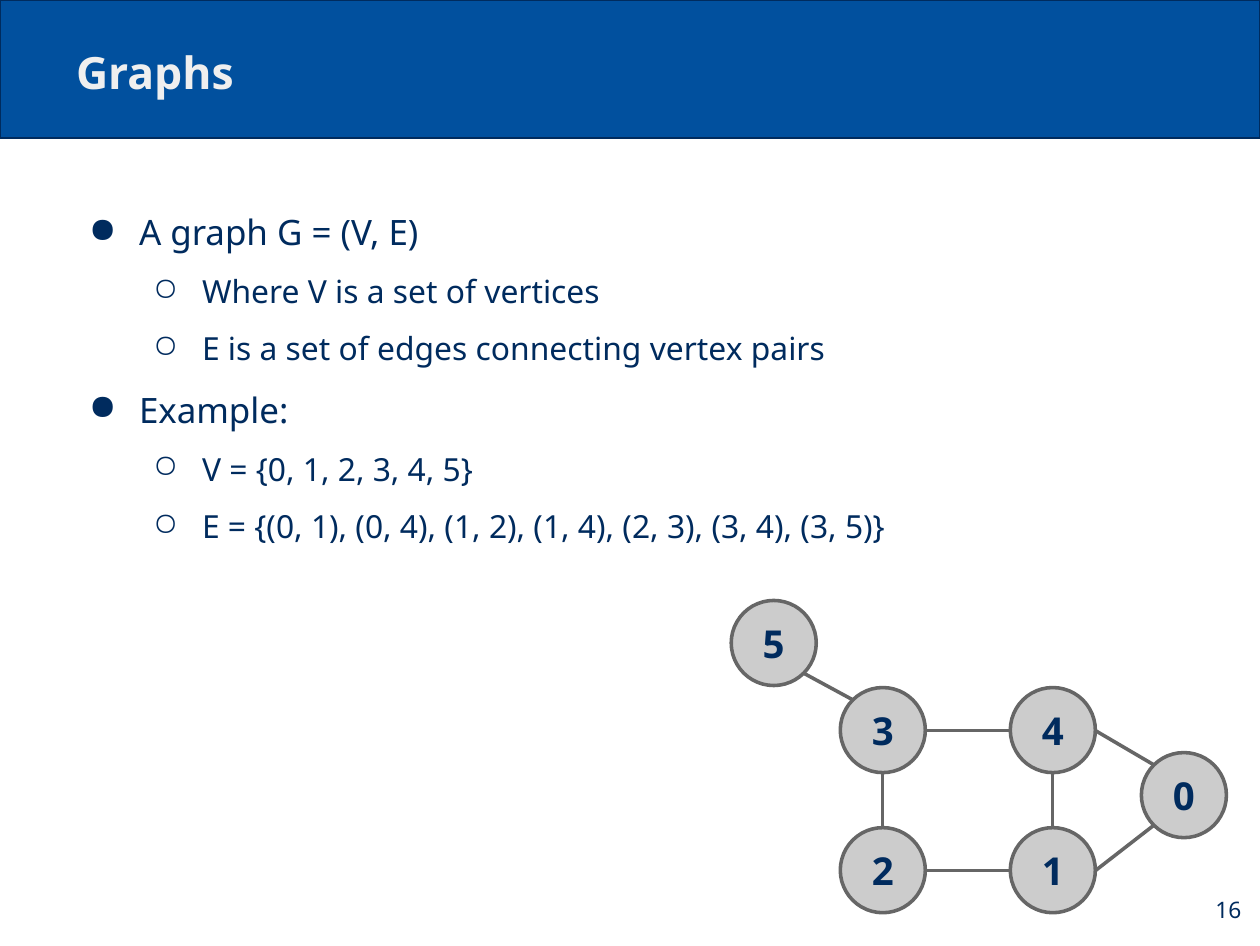
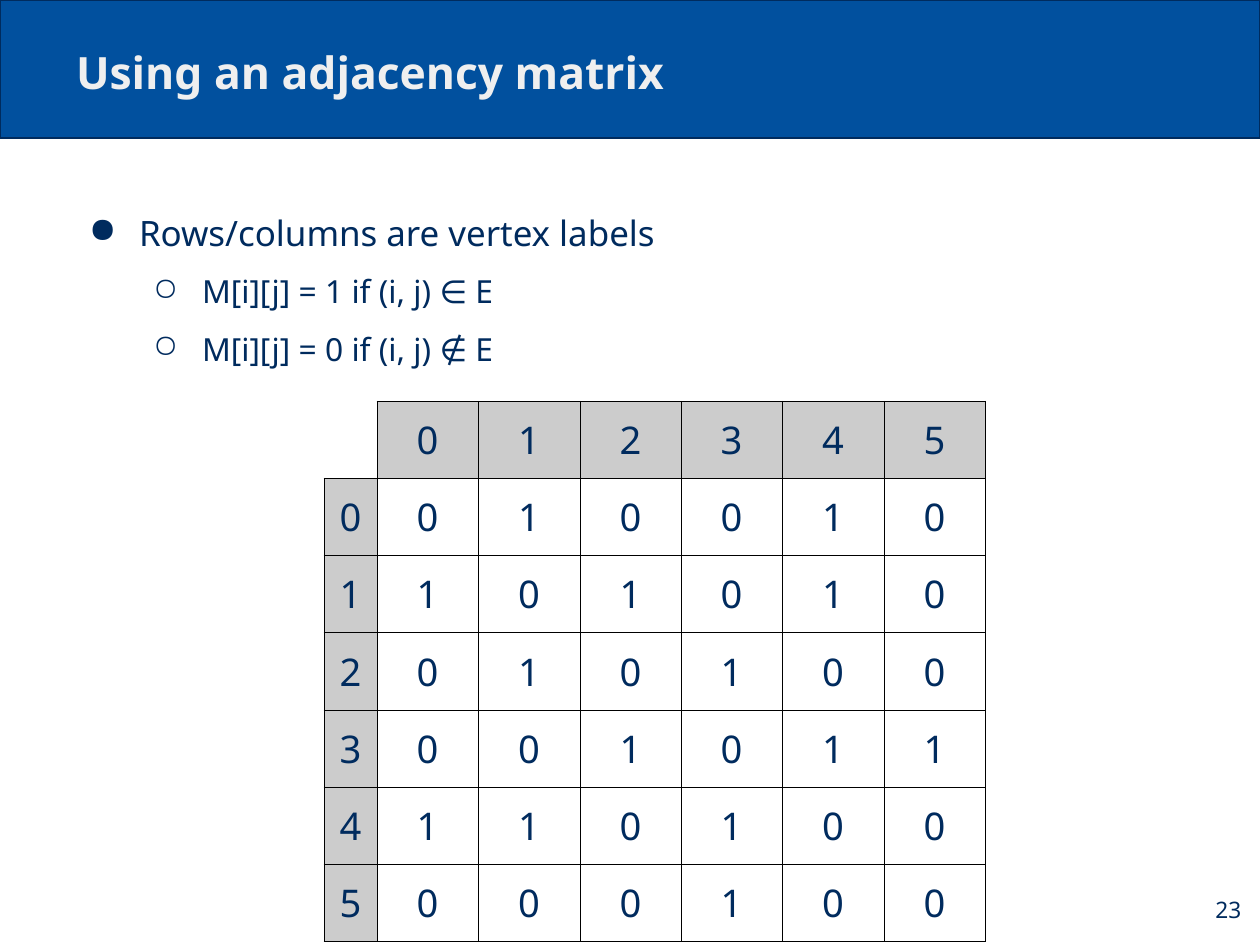
from math import cos, radians, sin

from lxml.etree import SubElement
from pptx import Presentation
from pptx.dml.color import RGBColor
from pptx.enum.shapes import MSO_CONNECTOR, MSO_SHAPE
from pptx.enum.text import MSO_ANCHOR, MSO_AUTO_SIZE, PP_ALIGN
from pptx.oxml.ns import qn
from pptx.util import Inches, Pt

# Shared style
SCALE = 8000  # EMU per px
PAGE_WIDTH, PAGE_HEIGHT = Inches(11.02), Inches(8.27)
FONT = "Noto Sans"
NAVY = RGBColor(0x00, 0x2B, 0x5E)
BLUE = RGBColor(0x01, 0x50, 0x9E)
PALE = RGBColor(0xEF, 0xEF, 0xEF)
SILVER = RGBColor(0xCC, 0xCC, 0xCC)
GRAY = RGBColor(0x66, 0x66, 0x66)
BLACK = RGBColor(0x00, 0x00, 0x00)
INSET = 13
CELL_INSET = 12
NODE_SIZE = 85

# Bullet levels: character, text size, left margin, hanging indent
BULLETS = [("●", 22, 63, 50), ("○", 20, 126, 49)]

# Connection sites of an ellipse, counted counter-clockwise from the top
TOP, TOP_LEFT, LEFT, BOTTOM_LEFT, BOTTOM, BOTTOM_RIGHT, RIGHT = range(7)

# The example graph
NODES = {0: (1141, 752), 1: (1010, 827), 4: (1010, 687),
         3: (840, 687), 2: (840, 827), 5: (731, 600)}
EDGES = [(0, TOP_LEFT, 4, RIGHT), (0, BOTTOM_LEFT, 1, RIGHT),
         (4, LEFT, 3, RIGHT), (1, LEFT, 2, RIGHT),
         (4, BOTTOM, 1, TOP), (3, BOTTOM, 2, TOP),
         (5, BOTTOM_RIGHT, 3, TOP_LEFT)]


def px(*lengths):
    return [length * SCALE for length in lengths]


def split(total, count):
    """Divide a length into whole px parts that add up to it."""
    stops = [round(index * total / count) for index in range(count + 1)]
    return [end - start for start, end in zip(stops, stops[1:])]


def write(para, text, size, color=NAVY, bold=False, align=PP_ALIGN.LEFT):
    para.alignment = align
    span = para.add_run()
    span.text = text
    span.font.name = FONT
    span.font.size = Pt(size)
    span.font.bold = bold
    span.font.color.rgb = color


def set_margins(target, inset):
    target.margin_left = target.margin_right = inset * SCALE
    target.margin_top = target.margin_bottom = inset * SCALE


def set_frame(frame, anchor=MSO_ANCHOR.TOP):
    frame.word_wrap = True
    frame.auto_size = MSO_AUTO_SIZE.NONE
    frame.vertical_anchor = anchor
    set_margins(frame, INSET)
    return frame


def site_point(node, site):
    left, top = NODES[node]
    radius = NODE_SIZE / 2
    angle = radians(90 + 45 * site)
    return (round(left + radius + radius * cos(angle)),
            round(top + radius - radius * sin(angle)))


class Deck:
    def __init__(self):
        self.deck = Presentation()
        self.deck.slide_width = PAGE_WIDTH
        self.deck.slide_height = PAGE_HEIGHT
        self.layout = self.deck.slide_layouts[5]
        self.page = None

    def add_page(self, title, number):
        first = self.page is None
        self.page = self.deck.slides.add_slide(self.layout)
        if first:
            self.add_band()
        box = self.page.shapes.title
        box.left, box.top, box.width, box.height = px(63, 28, 1134, 83)
        frame = set_frame(box.text_frame, MSO_ANCHOR.BOTTOM)
        write(frame.paragraphs[0], title, 28, color=PALE, bold=True)
        frame = self.add_box(1179, 873, 75, 72, MSO_ANCHOR.MIDDLE)
        write(frame.paragraphs[0], str(number), 14.3, align=PP_ALIGN.RIGHT)

    def add_band(self):
        """Put the title band on the layout, behind its placeholders."""
        band = self.add_shape(MSO_SHAPE.RECTANGLE, 0, 0, 1260, 138,
                              fill=BLUE, line=NAVY, weight=1.5)
        band.width = PAGE_WIDTH
        used = [shape.shape_id for shape in self.layout.shapes]
        band.element.find(".//" + qn("p:cNvPr")).set("id", str(max(used) + 1))
        self.layout.shapes.element.insert(2, band.element)

    def add_shape(self, kind, left, top, width, height, fill, line, weight):
        shape = self.page.shapes.add_shape(kind, *px(left, top, width, height))
        shape.shadow.inherit = False
        shape.fill.solid()
        shape.fill.fore_color.rgb = fill
        shape.line.color.rgb = line
        shape.line.width = Pt(weight)
        return shape

    def add_box(self, left, top, width, height, anchor=MSO_ANCHOR.TOP):
        box = self.page.shapes.add_textbox(*px(left, top, width, height))
        return set_frame(box.text_frame, anchor)

    def add_bullets(self, height, items):
        frame = self.add_box(63, 177, 1134, height)
        for index, (level, text) in enumerate(items):
            para = frame.add_paragraph() if index else frame.paragraphs[0]
            mark, size, margin, hanging = BULLETS[level]
            write(para, text, size)
            para.level = level
            para.line_spacing = 1.5
            para.space_before = Pt(0 if index else 6.6)
            props = para._p.get_or_add_pPr()
            props.set("marL", str(margin * SCALE))
            props.set("indent", str(-hanging * SCALE))
            color = SubElement(props, qn("a:buClr"))
            SubElement(color, qn("a:srgbClr"), val=str(NAVY))
            SubElement(props, qn("a:buChar"), char=mark)

    def add_node(self, label, left, top):
        node = self.add_shape(MSO_SHAPE.OVAL, left, top, NODE_SIZE, NODE_SIZE,
                              fill=SILVER, line=GRAY, weight=2.25)
        frame = set_frame(node.text_frame, MSO_ANCHOR.MIDDLE)
        write(frame.paragraphs[0], str(label), 24.2, bold=True,
              align=PP_ALIGN.CENTER)
        return node

    def add_edge(self, start, end, glue):
        edge = self.page.shapes.add_connector(MSO_CONNECTOR.STRAIGHT,
                                              *px(*start, *end))
        edge.line.color.rgb = GRAY
        edge.line.width = Pt(2.25)
        SubElement(edge.element.spPr, qn("a:effectLst"))
        # Attach both ends to their nodes
        props = edge.element.find(".//" + qn("p:cNvCxnSpPr"))
        for tag, (node, site) in zip(("a:stCxn", "a:endCxn"), glue):
            SubElement(props, qn(tag), id=str(node.shape_id), idx=str(site))

    def add_graph(self):
        nodes = {label: self.add_node(label, *place)
                 for label, place in NODES.items()}
        for source, source_site, target, target_site in EDGES:
            self.add_edge(site_point(source, source_site),
                          site_point(target, target_site),
                          [(nodes[source], source_site),
                           (nodes[target], target_site)])

    def add_matrix(self, left, top, head_width, body_width, height):
        count = len(NODES)
        linked = {frozenset((edge[0], edge[2])) for edge in EDGES}
        frame = self.page.shapes.add_table(
            count + 1, count + 1,
            *px(left, top, head_width + body_width, height))
        table = frame.table
        table.first_row = table.horz_banding = False
        widths = [head_width] + split(body_width, count)
        for column, width in zip(table.columns, widths):
            column.width = width * SCALE
        for row, row_height in zip(table.rows, split(height, count + 1)):
            row.height = row_height * SCALE
        for row in range(count + 1):
            for column in range(count + 1):
                corner = row == column == 0
                header = not corner and 0 in (row, column)
                if header:
                    text = str(row + column - 1)
                else:
                    text = str(int(frozenset((row - 1, column - 1)) in linked))
                self.set_cell(table.cell(row, column),
                              "" if corner else text, header, corner)

    def set_cell(self, cell, text, header, corner):
        set_margins(cell, CELL_INSET)
        cell.vertical_anchor = MSO_ANCHOR.MIDDLE
        if text:
            write(cell.text_frame.paragraphs[0], text, 24,
                  align=PP_ALIGN.CENTER)
        # Borders come before the fill; the corner has no outer ones
        props = cell._tc.get_or_add_tcPr()
        for side in ("lnL", "lnR", "lnT", "lnB"):
            line = SubElement(props, qn("a:" + side), w=str(Pt(0.75)))
            if corner and side in ("lnL", "lnT"):
                SubElement(line, qn("a:noFill"))
            else:
                fill = SubElement(line, qn("a:solidFill"))
                SubElement(fill, qn("a:srgbClr"), val=str(BLACK))
        if header:
            cell.fill.solid()
            cell.fill.fore_color.rgb = SILVER
        else:
            cell.fill.background()


def main():
    deck = Deck()

    # Graph definition
    deck.add_page("Graphs", 16)
    deck.add_bullets(728, [
        (0, "A graph G = (V, E)"),
        (1, "Where V is a set of vertices"),
        (1, "E is a set of edges connecting vertex pairs"),
        (0, "Example:"),
        (1, "V = {0, 1, 2, 3, 4, 5}"),
        (1, "E = {(0, 1), (0, 4), (1, 2), (1, 4), (2, 3), (3, 4), (3, 5)}"),
    ])
    deck.add_graph()

    # Adjacency matrix
    deck.add_page("Using an adjacency matrix", 23)
    deck.add_bullets(219, [
        (0, "Rows/columns are vertex labels"),
        (1, "M[i][j] = 1 if (i, j) ∈ E"),
        (1, "M[i][j] = 0 if (i, j) ∉ E"),
    ])
    deck.add_matrix(324, 401, head_width=53, body_width=608, height=540)

    deck.deck.save("out.pptx")


if __name__ == "__main__":
    main()
